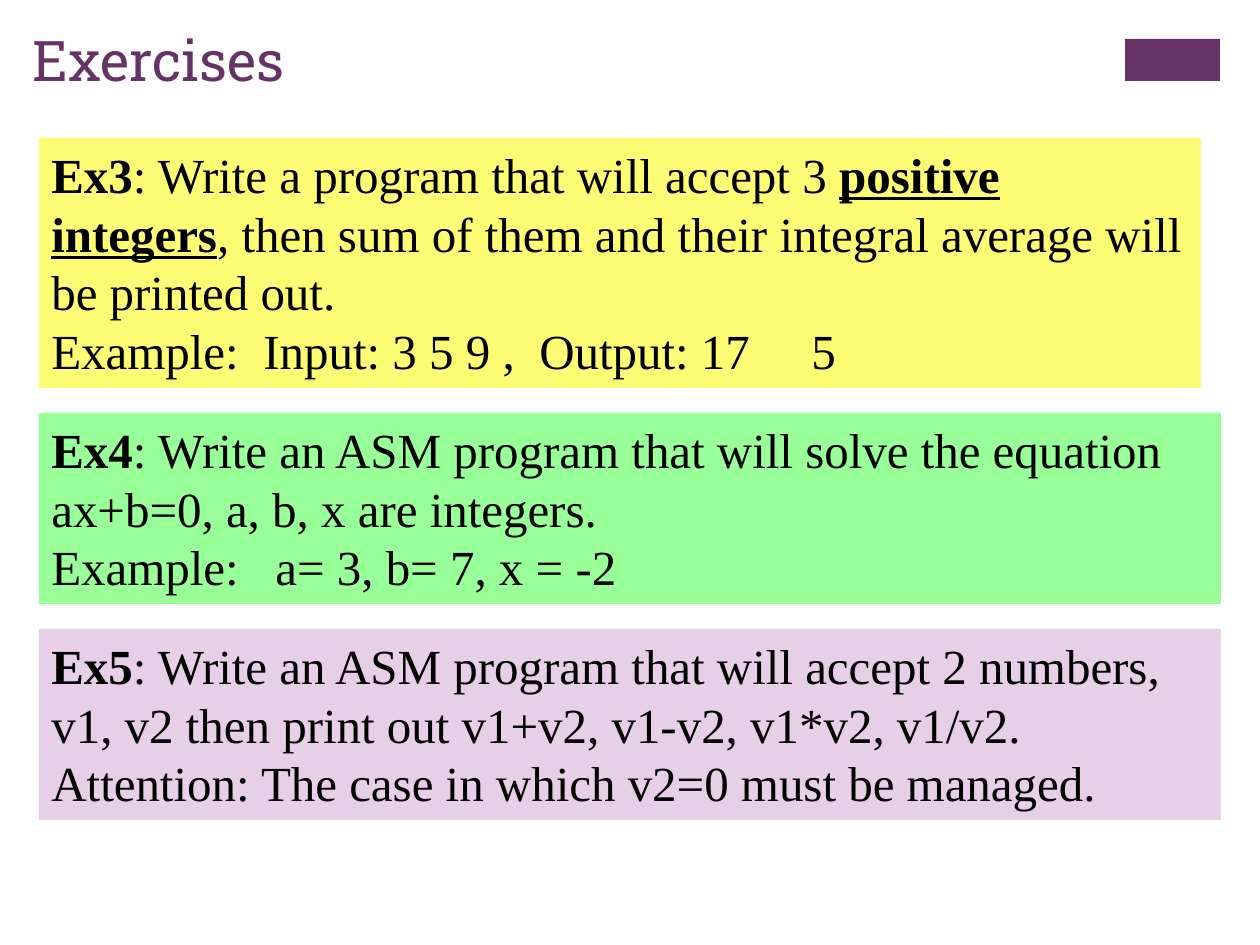
"""Build the assembly programming exercises slide."""
from lxml import etree
from pptx import Presentation
from pptx import util as u
from pptx.dml.color import RGBColor
from pptx.enum import shapes, text
from pptx.oxml.ns import qn

PURPLE = RGBColor(0x66, 0x33, 0x66)
YELLOW = RGBColor(0xFE, 0xFC, 0x75)
GREEN = RGBColor(0x99, 0xFF, 0x99)
LILAC = RGBColor(0xE7, 0xCF, 0xE7)
BLACK = RGBColor(0, 0, 0)

PLAIN, BOLD, KEY = (False, False), (True, False), (True, True)
EXERCISES = [
    (YELLOW, 1162, 250, [
        ([("Ex3", BOLD),
          (": Write a program that will accept 3 ", PLAIN),
          ("positive integers", KEY),
          (", then sum of them and their integral average will be printed out.", PLAIN)], []),
        ([("Example:\tInput: 3 5 9 ,\tOutput: 17\t5", PLAIN)], [212, 488, 760]),
    ]),
    (GREEN, 1182, 191, [
        ([("Ex4", BOLD),
          (": Write an ASM program that will solve the equation ax+b=0, a, b, x are integers.", PLAIN)], []),
        ([("Example:\ta= 3, b= 7, x = -2", PLAIN)], [224]),
    ]),
    (LILAC, 1182, 191, [
        ([("Ex5", BOLD),
          (": Write an ASM program that will accept 2 numbers, v1, v2 then print out "
           "v1+v2, v1-v2, v1*v2, v1/v2.", PLAIN)], []),
        ([("Attention: The case in which v2=0 must be managed.", PLAIN)], []),
    ]),
]
LEFT, TOP, GAP = 39, 138, 25


def px(length):
    return u.Emu(round(length * 914400 / 126))


def add_block(page, left, top, width, height, color):
    block = page.shapes.add_shape(shapes.MSO_SHAPE.RECTANGLE, px(left), px(top), px(width), px(height))
    block.shadow.inherit = False
    block.fill.solid()
    block.fill.fore_color.rgb = color
    block.line.fill.background()
    return block


def add_tabs(para, stops):
    tabs = etree.SubElement(para._p.get_or_add_pPr(), qn("a:tabLst"))
    for stop in stops:
        etree.SubElement(tabs, qn("a:tab"), pos=str(px(stop)), algn="l")


def add_span(para, words, font_name, size, color):
    span = para.add_run()
    span.text = words
    span.font.name = font_name
    span.font.size = u.Pt(size)
    span.font.color.rgb = color
    return span


def write_exercise(block, paragraphs):
    frame = block.text_frame
    frame.word_wrap = True
    frame.vertical_anchor = text.MSO_ANCHOR.TOP
    for index, (spans, stops) in enumerate(paragraphs):
        para = frame.add_paragraph() if index else frame.paragraphs[0]
        para.alignment = text.PP_ALIGN.LEFT
        if stops:
            add_tabs(para, stops)
        for words, (bold, underline) in spans:
            span = add_span(para, words, "Times New Roman", 28, BLACK)
            span.font.bold = bold
            span.font.underline = underline


def write_title(page):
    title = page.shapes.title
    title.left, title.top, title.width, title.height = px(20), px(20), px(591), px(98)
    frame = title.text_frame
    frame.vertical_anchor = text.MSO_ANCHOR.TOP
    frame.margin_top = px(6)
    para = frame.paragraphs[0]
    para.alignment = text.PP_ALIGN.LEFT
    add_span(para, "Exercises", "Roboto Slab", 32, PURPLE)


def main():
    deck = Presentation()
    deck.slide_width, deck.slide_height = u.Inches(10), u.Inches(7.5)
    page = deck.slides.add_slide(deck.slide_layouts[5])
    add_block(page, 1125, 39, 95, 42, PURPLE)
    write_title(page)
    top = TOP
    for color, width, height, paragraphs in EXERCISES:
        write_exercise(add_block(page, LEFT, top, width, height, color), paragraphs)
        top += height + GAP
    deck.save("out.pptx")


if __name__ == "__main__":
    main()
